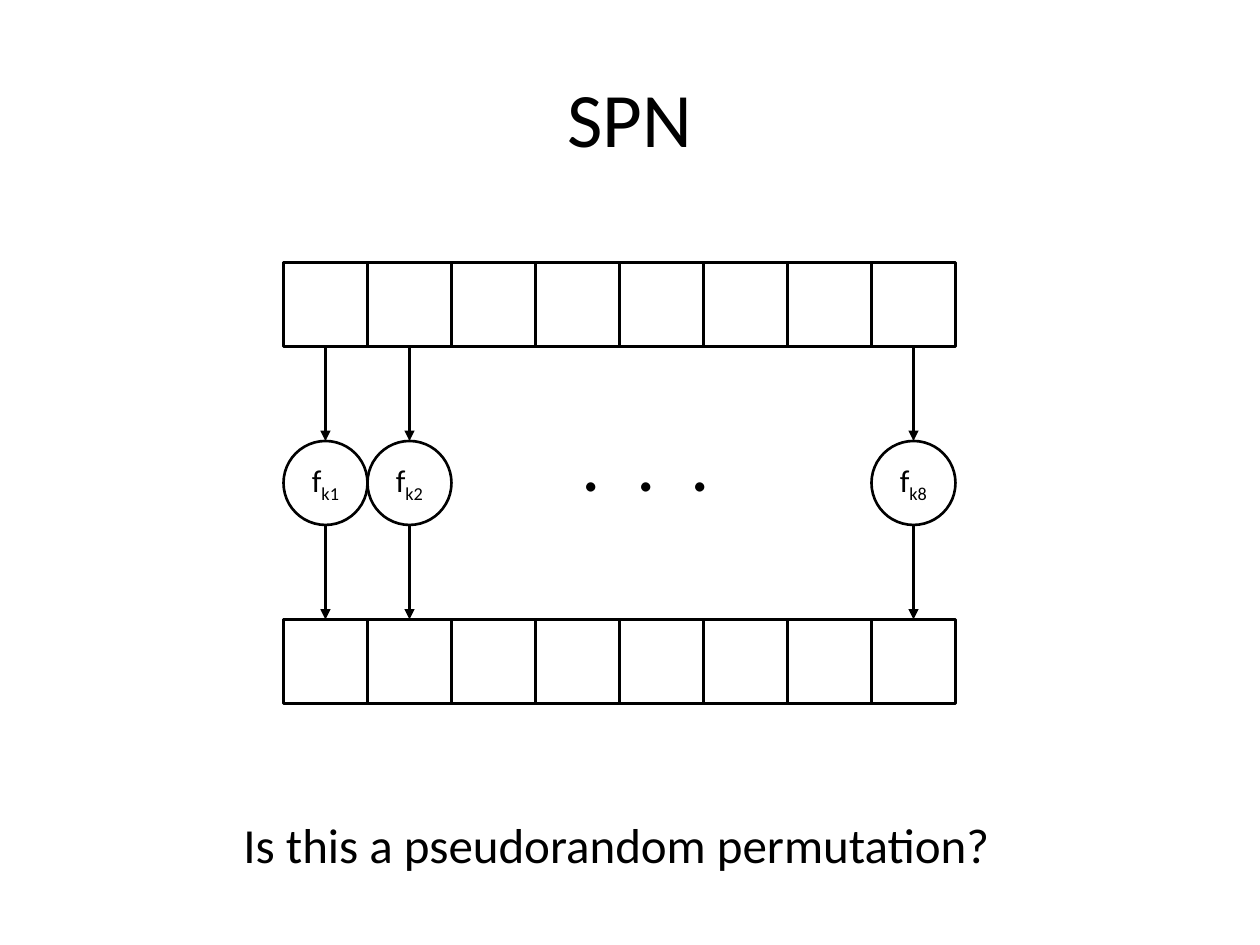
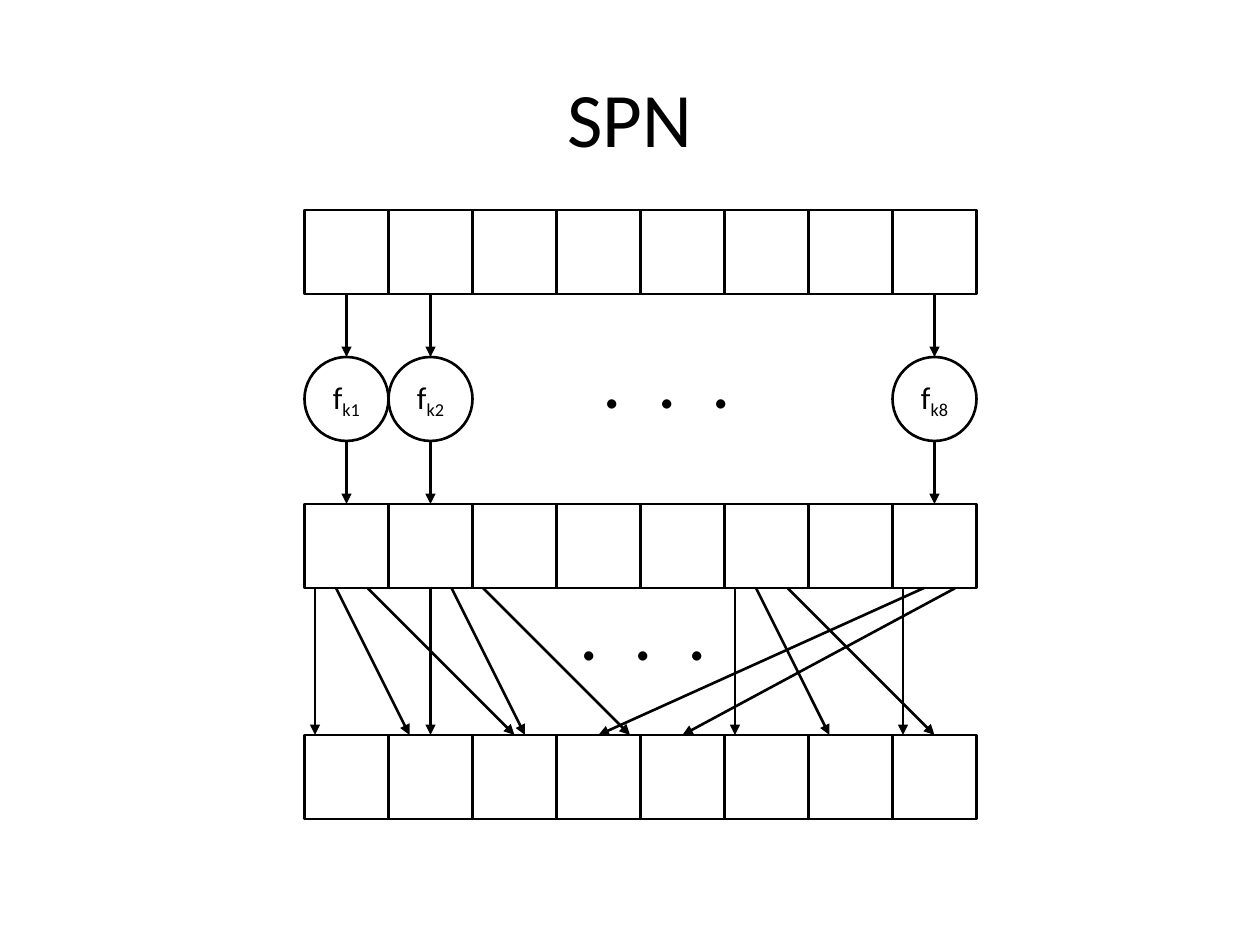
from lxml.etree import SubElement
from pptx import Presentation
from pptx.dml.color import RGBColor
from pptx.enum.shapes import MSO_CONNECTOR, MSO_SHAPE
from pptx.enum.text import MSO_ANCHOR, MSO_AUTO_SIZE, PP_ALIGN
from pptx.oxml.ns import qn
from pptx.util import Inches, Pt

BLACK = RGBColor(0, 0, 0)
FONT = "Calibri"
LINE_WIDTH = Pt(1.5)

STEP = Inches(1) / 12
CELL = 8
BLOCKS = 8
DOTS = ".  .  ."
DOTS_SIZE = (14.75, 10)
KEYED_FUNCTIONS = {0: "k1", 1: "k2", 7: "k8"}

SLIDES = [
    {
        "title": "SPN",
        "left": 27,
        "block_rows": [25, 59],
        "function_row": 42,
        "dots": [(27.25, 38.9)],
        "wires": [],
        "question": "Is this a pseudorandom permutation?",
    },
    {
        "title": "SPN",
        "left": 29,
        "block_rows": [20, 48, 70],
        "function_row": 34,
        "dots": [(27.25, 31), (25, 55)],
        "wires": [
            (1, 1), (3, 10), (6, 20),
            (12, 12), (14, 21), (17, 31),
            (41, 41), (43, 50), (46, 60),
            (57, 57), (59, 28), (62, 36),
        ],
        "question": None,
    },
]


def steps(*counts):
    return [round(count * STEP) for count in counts]


def add_run(paragraph, text, size, baseline=None):
    run = paragraph.add_run()
    run.text = text
    run.font.name = FONT
    run.font.size = Pt(size)
    run.font.color.rgb = BLACK
    if baseline:
        run._r.get_or_add_rPr().set("baseline", str(baseline * 1000))


def add_title(slide, text):
    title = slide.shapes.title
    title.left, title.top = Inches(0.5), Inches(0.3)
    title.width, title.height = Inches(9), Inches(1.25)
    title.text_frame.vertical_anchor = MSO_ANCHOR.MIDDLE
    paragraph = title.text_frame.paragraphs[0]
    paragraph.alignment = PP_ALIGN.CENTER
    add_run(paragraph, text, size=44)


def add_label(slide, text, left, top, width, height, size):
    text_box = slide.shapes.add_textbox(*steps(left, top, width, height))
    text_box.text_frame.word_wrap = False
    text_box.text_frame.auto_size = MSO_AUTO_SIZE.SHAPE_TO_FIT_TEXT
    add_run(text_box.text_frame.paragraphs[0], text, size=size)


def add_outline(slide, kind, left, top):
    shape = slide.shapes.add_shape(kind, *steps(left, top, CELL, CELL))
    shape.shadow.inherit = False
    shape.fill.background()
    shape.line.color.rgb = BLACK
    shape.line.width = LINE_WIDTH
    return shape


def add_block_row(slide, left, top):
    for column in range(BLOCKS):
        add_outline(slide, MSO_SHAPE.RECTANGLE, left + column * CELL, top)


def add_function(slide, left, top, key):
    circle = add_outline(slide, MSO_SHAPE.OVAL, left, top)
    circle.text_frame.word_wrap = False
    circle.text_frame.vertical_anchor = MSO_ANCHOR.MIDDLE
    paragraph = circle.text_frame.paragraphs[0]
    paragraph.alignment = PP_ALIGN.CENTER
    add_run(paragraph, "f", size=18)
    add_run(paragraph, key, size=18, baseline=-25)


def add_arrow(slide, start_x, start_y, end_x, end_y):
    arrow = slide.shapes.add_connector(
        MSO_CONNECTOR.STRAIGHT, *steps(start_x, start_y, end_x, end_y)
    )
    arrow.line.color.rgb = BLACK
    arrow.line.width = LINE_WIDTH
    SubElement(arrow.line._get_or_add_ln(), qn("a:tailEnd"), type="triangle")
    SubElement(arrow._element.spPr, qn("a:effectLst"))


def add_network(slide, network):
    left, rows = network["left"], network["block_rows"]
    function_row = network["function_row"]
    for row in rows:
        add_block_row(slide, left, row)
    for column, key in KEYED_FUNCTIONS.items():
        function_left = left + column * CELL
        center = function_left + CELL / 2
        add_function(slide, function_left, function_row, key)
        add_arrow(slide, center, rows[0] + CELL, center, function_row)
        add_arrow(slide, center, function_row + CELL, center, rows[1])
    for start, end in network["wires"]:
        add_arrow(slide, left + start, rows[1] + CELL, left + end, rows[2])
    for offset, top in network["dots"]:
        add_label(slide, DOTS, left + offset, top, *DOTS_SIZE, size=44)


def main():
    presentation = Presentation()
    presentation.slide_width = Inches(10)
    presentation.slide_height = Inches(7.5)
    title_only = presentation.slide_layouts[5]
    for network in SLIDES:
        slide = presentation.slides.add_slide(title_only)
        add_title(slide, network["title"])
        add_network(slide, network)
        if network["question"]:
            add_label(slide, network["question"], 22, 77, 74.25, 6.85, size=28)
    presentation.save("out.pptx")


if __name__ == "__main__":
    main()
